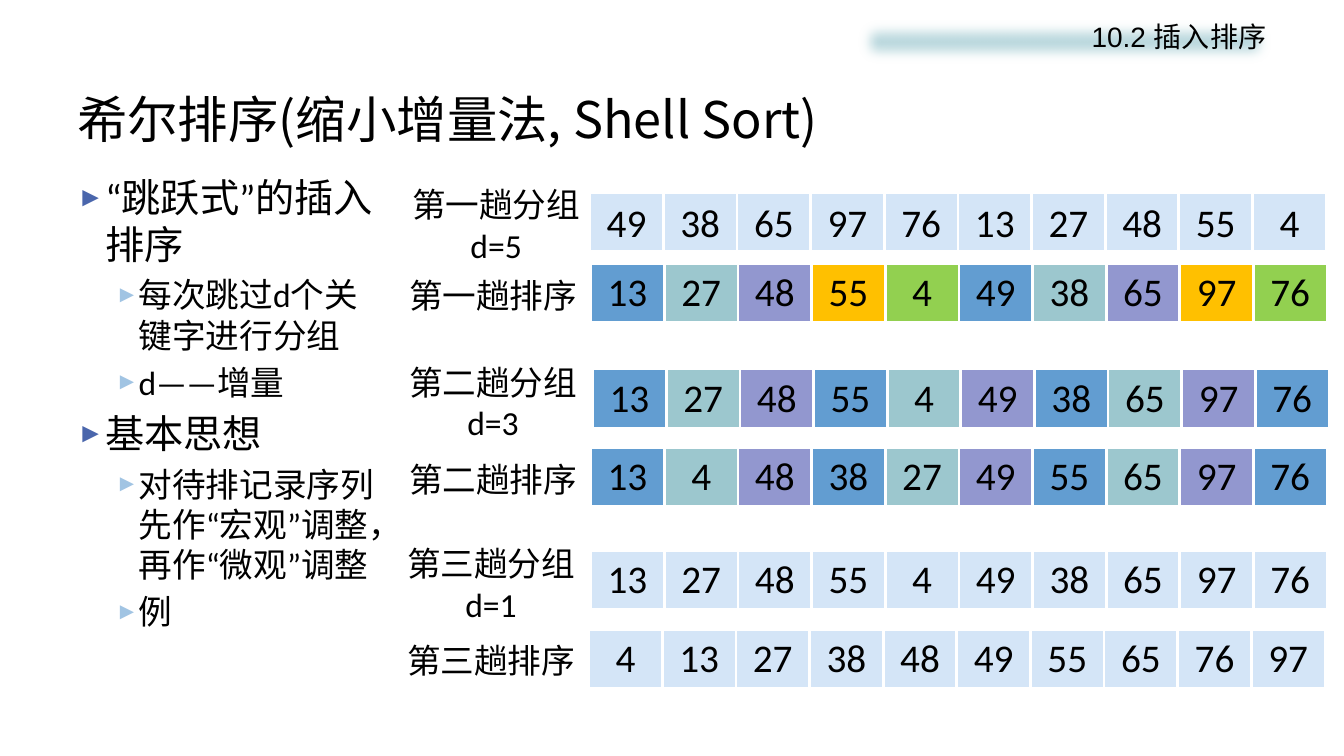
import itertools

import lxml.etree
import pptx
import pptx.dml.color
import pptx.enum.lang
import pptx.enum.shapes
import pptx.enum.text
import pptx.oxml.ns
import pptx.util

RGBColor = pptx.dml.color.RGBColor
BLACK = RGBColor(0x00, 0x00, 0x00)
PALE = RGBColor(0xD4, 0xE5, 0xF7)
BLUE = RGBColor(0x62, 0x9D, 0xD1)
TEAL = RGBColor(0x9C, 0xC7, 0xCE)
PURPLE = RGBColor(0x92, 0x97, 0xCF)
AMBER = RGBColor(0xFF, 0xC0, 0x00)
GREEN = RGBColor(0x92, 0xD0, 0x50)
BANNER = RGBColor(0xBD, 0xDA, 0xDF)
TOPIC_BULLET = RGBColor(0x4A, 0x66, 0xAC)
DETAIL_BULLET = RGBColor(0xA1, 0xC4, 0xE3)

UNGROUPED = (PALE,)
GROUPS_OF_FIVE = (BLUE, TEAL, PURPLE, AMBER, GREEN)
GROUPS_OF_THREE = (BLUE, TEAL, PURPLE)

SLIDE_WIDTH = pptx.util.Inches(13.33)
SLIDE_HEIGHT = pptx.util.Inches(7.5)
CELL_WIDTH = 5.48
CELL_HEIGHT = 7.6
LABEL_WIDTH = 14.1
LABEL_LINE = 6.67

CENTER = pptx.enum.text.PP_ALIGN.CENTER
RIGHT = pptx.enum.text.PP_ALIGN.RIGHT
MIDDLE = pptx.enum.text.MSO_ANCHOR.MIDDLE

START_KEYS = (49, 38, 65, 97, 76, 13, 27, 48, 55, 4)
AFTER_FIRST = (13, 27, 48, 55, 4, 49, 38, 65, 97, 76)
AFTER_SECOND = (13, 4, 48, 38, 27, 49, 55, 65, 97, 76)
AFTER_THIRD = (4, 13, 27, 38, 48, 49, 55, 65, 76, 97)

KEY_ROWS = (
    (43.95, 34.93, AFTER_FIRST, GROUPS_OF_FIVE),
    (44.1, 48.93, AFTER_FIRST, GROUPS_OF_THREE),
    (43.95, 59.33, AFTER_SECOND, GROUPS_OF_THREE),
    (43.95, 72.93, AFTER_FIRST, UNGROUPED),
    (43.8, 83.33, AFTER_THIRD, UNGROUPED),
)
LABELS = (
    (29.93, 23.73, ("第一趟分组", "d=5")),
    (29.7, 35.73, ("第一趟排序",)),
    (29.7, 47.2, ("第二趟分组", "d=3")),
    (29.7, 60, ("第二趟排序",)),
    (29.55, 71.2, ("第三趟分组", "d=1")),
    (29.55, 84, ("第三趟排序",)),
)
OUTLINE = (
    (0, "“跳跃式”的插入排序"),
    (1, "每次跳过d个关键字进行分组"),
    (1, "d——增量"),
    (0, "基本思想"),
    (1, "对待排记录序列先作“宏观”调整，再作“微观”调整"),
    (1, "例"),
)
OUTLINE_STYLES = (
    (28, 0.28, -0.28, TOPIC_BULLET),
    (24, 0.61, -0.23, DETAIL_BULLET),
)


def across(percent):
    return int(SLIDE_WIDTH * percent / 100)


def down(percent):
    return int(SLIDE_HEIGHT * percent / 100)


def place(left, top, width, height):
    return across(left), down(top), across(width), down(height)


def add_xml(parent, tag, **attributes):
    element = lxml.etree.SubElement(parent, pptx.oxml.ns.qn(tag))
    for name, value in attributes.items():
        element.set(name, str(value))
    return element


def format_paragraph(paragraph, size, font_name="Calibri", alignment=None):
    paragraph.alignment = alignment
    for run in paragraph.runs:
        run.font.size = pptx.util.Pt(size)
        run.font.name = font_name
        run.font.color.rgb = BLACK
        run.font.language_id = pptx.enum.lang.MSO_LANGUAGE_ID.SIMPLIFIED_CHINESE
        add_xml(run.font._element, "a:ea", typeface=font_name)


def add_text(slide, box, lines, size, font_name="Calibri", wrap=True):
    text_frame = slide.shapes.add_textbox(*place(*box)).text_frame
    text_frame.text = "\n".join(lines)
    text_frame.word_wrap = wrap
    for paragraph in text_frame.paragraphs:
        format_paragraph(paragraph, size, font_name)
    return text_frame


def add_banner(slide, text):
    shape = slide.shapes.add_shape(
        pptx.enum.shapes.MSO_SHAPE.RECTANGLE, *place(63.45, 1.87, 31.5, 7.2))
    shape.fill.solid()
    shape.fill.fore_color.rgb = BANNER
    shape.line.fill.background()
    shape.shadow.inherit = False
    effects = shape._element.spPr.find(pptx.oxml.ns.qn("a:effectLst"))
    add_xml(effects, "a:softEdge", rad=pptx.util.Pt(10))
    shape.text_frame.text = text
    shape.text_frame.vertical_anchor = pptx.enum.text.MSO_ANCHOR.TOP
    format_paragraph(shape.text_frame.paragraphs[0], 20, "Arial", RIGHT)


def add_bullet(paragraph, color, margin, indent):
    properties = paragraph._p.get_or_add_pPr()
    properties.set("marL", str(pptx.util.Inches(margin)))
    properties.set("indent", str(pptx.util.Inches(indent)))
    add_xml(add_xml(properties, "a:buClr"), "a:srgbClr", val=color)
    add_xml(properties, "a:buSzPct", val=70000)
    add_xml(properties, "a:buFont", typeface="Arial")
    add_xml(properties, "a:buChar", char="►")


def add_outline(slide):
    lines = [text for level, text in OUTLINE]
    text_frame = add_text(slide, (5, 22.27, 24.08, 77.73), lines, 24)
    for paragraph, (level, text) in zip(text_frame.paragraphs, OUTLINE):
        size, margin, indent, color = OUTLINE_STYLES[level]
        paragraph.level = level
        paragraph.runs[0].font.size = pptx.util.Pt(size)
        paragraph.space_before = pptx.util.Pt(size * 0.2)
        add_bullet(paragraph, color, margin, indent)


def format_cell(cell, color):
    properties = cell._tc.get_or_add_tcPr()
    for side in ("a:lnL", "a:lnR"):
        border = add_xml(properties, side, w=pptx.util.Pt(2.25))
        add_xml(add_xml(border, "a:solidFill"), "a:srgbClr", val="FFFFFF")
    cell.fill.solid()
    cell.fill.fore_color.rgb = color
    cell.vertical_anchor = MIDDLE
    margin = pptx.util.Inches(0.05)
    cell.margin_left = cell.margin_right = margin
    cell.margin_top = cell.margin_bottom = margin


def add_key_row(slide, left, top, keys, colors):
    box = place(left, top, CELL_WIDTH * len(keys), CELL_HEIGHT)
    table = slide.shapes.add_table(1, len(keys), *box).table
    table.first_row = False
    table.horz_banding = False
    for cell, key, color in zip(table.iter_cells(), keys, itertools.cycle(colors)):
        format_cell(cell, color)
        cell.text = str(key)
        format_paragraph(cell.text_frame.paragraphs[0], 28, alignment=CENTER)


def add_loose_keys(slide, left, top, keys):
    for column, key in enumerate(keys):
        box = (left + column * CELL_WIDTH, top, CELL_WIDTH, CELL_HEIGHT)
        text_frame = add_text(slide, box, [str(key)], 28, wrap=False)
        text_frame.vertical_anchor = MIDDLE
        text_frame.paragraphs[0].alignment = CENTER


def add_label(slide, left, top, lines):
    box = (left, top, LABEL_WIDTH, LABEL_LINE * len(lines))
    text_frame = add_text(slide, box, lines, 24, wrap=False)
    for paragraph in text_frame.paragraphs[1:]:
        paragraph.alignment = CENTER


def main():
    presentation = pptx.Presentation()
    presentation.slide_width = SLIDE_WIDTH
    presentation.slide_height = SLIDE_HEIGHT
    slide = presentation.slides.add_slide(presentation.slide_layouts[6])
    title = add_text(slide, (5, 10.67, 90, 10),
                     ["希尔排序(缩小增量法, Shell Sort)"], 36, "Noto Sans CJK SC")
    title.vertical_anchor = MIDDLE
    add_outline(slide)
    add_banner(slide, "10.2 插入排序")
    add_key_row(slide, 43.88, 25.6, [""] * len(START_KEYS), UNGROUPED)
    add_loose_keys(slide, 43.88, 25.6, START_KEYS)
    for key_row in KEY_ROWS:
        add_key_row(slide, *key_row)
    for label in LABELS:
        add_label(slide, *label)
    presentation.save("out.pptx")


if __name__ == "__main__":
    main()
